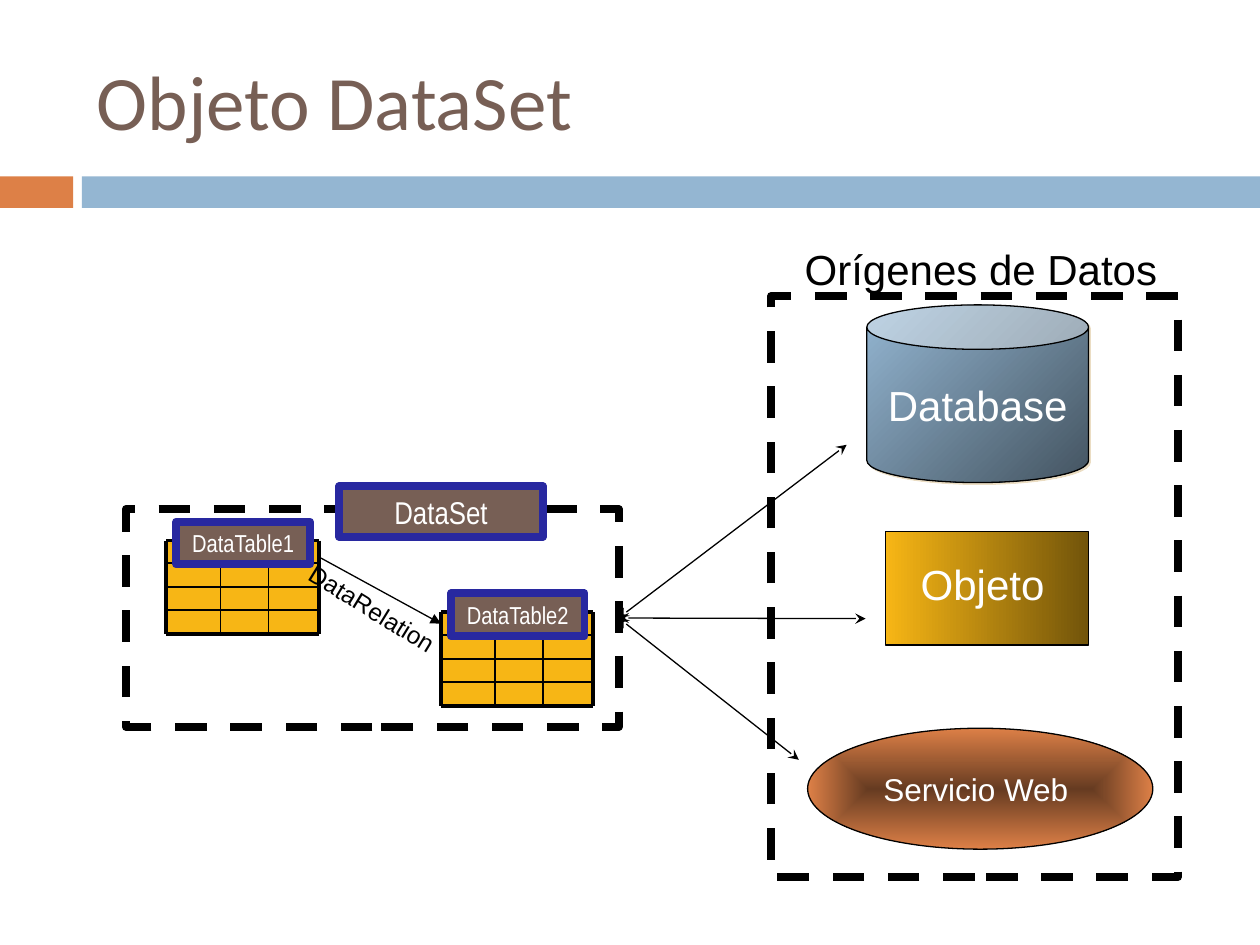
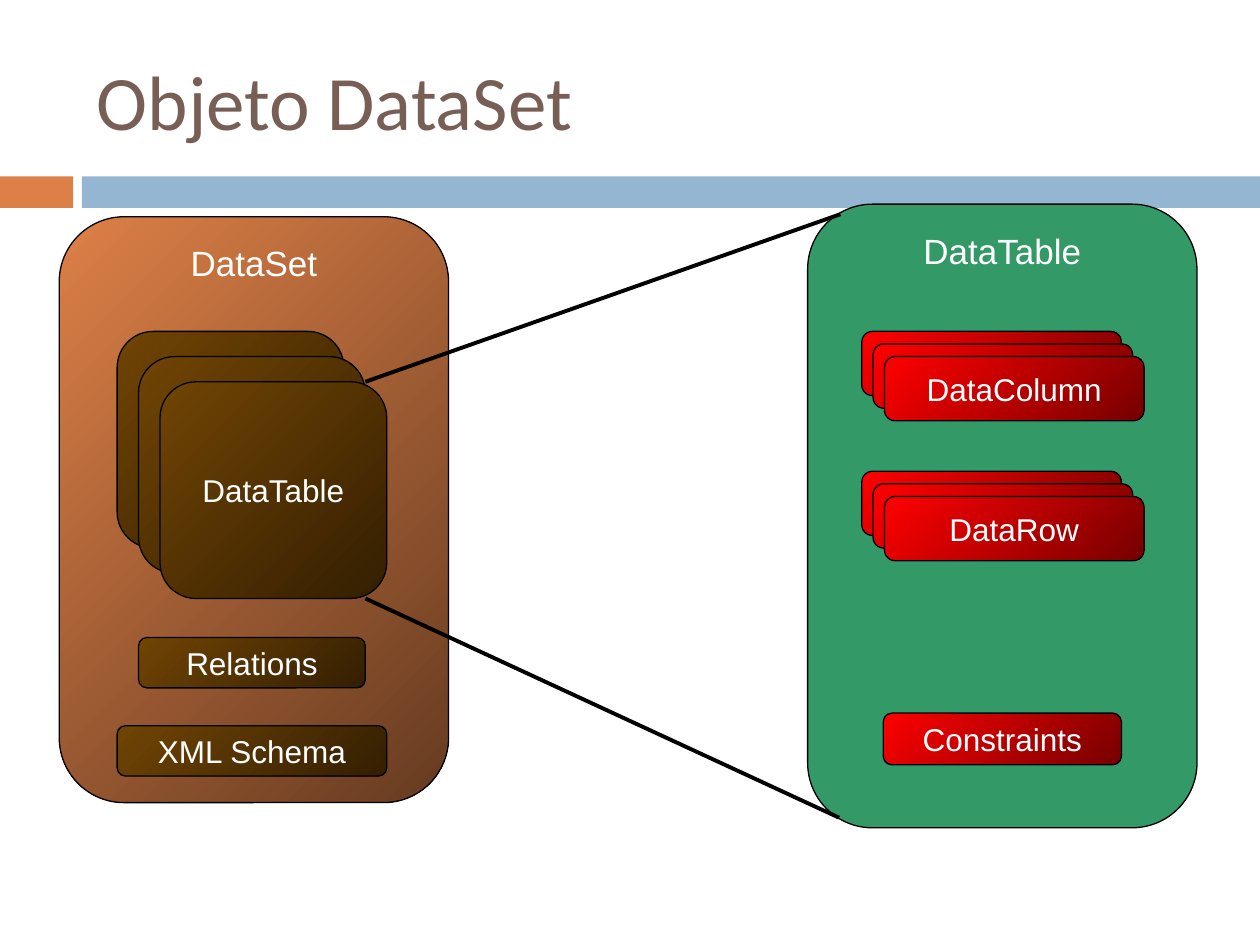
import itertools

import lxml.etree
import pptx
import pptx.dml.color
import pptx.enum.dml
import pptx.enum.shapes
import pptx.enum.text
import pptx.oxml.ns
import pptx.util

Inches = pptx.util.Inches
Pt = pptx.util.Pt
RGBColor = pptx.dml.color.RGBColor
Shape = pptx.enum.shapes.MSO_SHAPE
Align = pptx.enum.text.PP_ALIGN
qn = pptx.oxml.ns.qn

BLACK = RGBColor(0x00, 0x00, 0x00)
WHITE = RGBColor(0xFF, 0xFF, 0xFF)
TAUPE = RGBColor(0x77, 0x5F, 0x55)
ORANGE = RGBColor(0xDD, 0x80, 0x47)
DARK_ORANGE = RGBColor(0x66, 0x3B, 0x21)
BLUE = RGBColor(0x94, 0xB6, 0xD2)
DARK_BLUE = RGBColor(0x44, 0x54, 0x61)
NAVY = RGBColor(0x28, 0x28, 0xA0)
YELLOW = RGBColor(0xF7, 0xB6, 0x15)
DARK_YELLOW = RGBColor(0x72, 0x54, 0x0A)
BROWN = RGBColor(0x70, 0x44, 0x04)
DARK_BROWN = RGBColor(0x34, 0x1F, 0x02)
RED = RGBColor(0xFF, 0x00, 0x00)
DARK_RED = RGBColor(0x76, 0x00, 0x00)
GREEN = RGBColor(0x33, 0x99, 0x66)
SAND = RGBColor(0xEB, 0xDD, 0xC3)

COLUMN_EDGES = (0, 0.43, 0.81, 1.21)
ROW_EDGES = (0, 0.18, 0.37, 0.55, 0.74)


def apply_format(target, values):
    for name, value in values.items():
        setattr(target, name, value)


class Deck:
    def __init__(self):
        self.presentation = pptx.Presentation()
        apply_format(self.presentation, {"slide_width": Inches(10), "slide_height": Inches(7.5)})
        self.slide = None

    def new_slide(self, title):
        self.slide = self.presentation.slides.add_slide(self.presentation.slide_layouts[6])
        self.shape((0, 1.4, 0.58, 0.25), ORANGE, line=None)
        self.shape((0.65, 1.4, 9.35, 0.25), BLUE, line=None)
        self.text_box((0.67, 0.25, 8.92, 1.08), title, size=44, font="Calibri",
                      color=TAUPE, align=Align.LEFT)

    def add_text(self, shape, text, size=18, font="Arial", color=WHITE, align=Align.CENTER,
                 anchor=pptx.enum.text.MSO_ANCHOR.MIDDLE, wrap=False):
        frame = shape.text_frame
        apply_format(frame, {"word_wrap": wrap, "vertical_anchor": anchor})
        paragraph = frame.paragraphs[0]
        paragraph.alignment = align
        run = paragraph.add_run()
        run.text = text
        apply_format(run.font, {"name": font, "size": Pt(size)})
        run.font.color.rgb = color

    def text_box(self, box, text, rotation=0, **style):
        shape = self.slide.shapes.add_textbox(*map(Inches, box))
        shape.rotation = rotation
        self.add_text(shape, text, wrap=True, **style)

    def shape(self, box, fill=None, kind=Shape.RECTANGLE, line=BLACK, width=0.75,
              dashed=False, angle=315, text=None, **style):
        shape = self.slide.shapes.add_shape(kind, *map(Inches, box))
        shape.shadow.inherit = False
        if fill is None:
            shape.fill.background()
        elif isinstance(fill, RGBColor):
            shape.fill.solid()
            shape.fill.fore_color.rgb = fill
        else:
            shape.fill.gradient()
            shape.fill.gradient_angle = angle
            for stop, color in zip(shape.fill.gradient_stops, fill):
                stop.color.rgb = color
        if line is None:
            shape.line.fill.background()
        else:
            shape.line.color.rgb = line
            shape.line.width = Pt(width)
            if dashed:
                shape.line.dash_style = pptx.enum.dml.MSO_LINE.DASH
        if text:
            self.add_text(shape, text, **style)
        return shape

    def add_shadow(self, shape, color, distance):
        effects = shape._element.spPr.find(qn("a:effectLst"))
        shadow = lxml.etree.SubElement(effects, qn("a:outerShdw"), blurRad="0",
                                       dist=str(Pt(distance)), dir="2700000", algn="ctr")
        lxml.etree.SubElement(shadow, qn("a:srgbClr"), val=str(color))

    def center_gradient(self, shape):
        gradient = shape._element.spPr.find(qn("a:gradFill"))
        gradient.remove(gradient.find(qn("a:lin")))
        center = lxml.etree.SubElement(gradient, qn("a:path"), {"path": "rect"})
        lxml.etree.SubElement(center, qn("a:fillToRect"), l="50000", t="50000",
                              r="50000", b="50000")

    def connector(self, start, end, width=0.75, head=None, tail=None):
        connector = self.slide.shapes.add_connector(
            pptx.enum.shapes.MSO_CONNECTOR.STRAIGHT, *map(Inches, start + end))
        connector.line.color.rgb = BLACK
        connector.line.width = Pt(width)
        properties = connector._element.spPr
        for tag, arrow in (("a:headEnd", head), ("a:tailEnd", tail)):
            if arrow:
                lxml.etree.SubElement(properties.find(qn("a:ln")), qn(tag), type=arrow)
        lxml.etree.SubElement(properties, qn("a:effectLst"))
        return connector

    def name_plate(self, box, text, size=14):
        self.shape(box, TAUPE, line=NAVY, width=4.5, text=text, size=size, font="Arial Narrow")

    def table_icon(self, left, top, name):
        columns = [left + edge for edge in COLUMN_EDGES]
        rows = [top + edge for edge in ROW_EDGES]
        for (y, bottom), (x, right) in itertools.product(
                itertools.pairwise(rows), itertools.pairwise(columns)):
            self.shape((x, y, right - x, bottom - y), YELLOW, line=None)
        for y in rows:
            self.connector((columns[0], y), (columns[-1], y),
                           2.25 if y in (rows[0], rows[-1]) else 1)
        for x in columns:
            self.connector((x, rows[0]), (x, rows[-1]),
                           2.25 if x in (columns[0], columns[-1]) else 1)
        self.name_plate((left + 0.08, top - 0.15, 1.06, 0.34), name)

    def card(self, box, fill, text=None, **style):
        self.shape(box, fill, Shape.ROUNDED_RECTANGLE, text=text, **style)

    def card_stack(self, box, step, fill, text):
        left, top, width, height = box
        for index, label in enumerate((None, None, text)):
            self.card((left + index * step[0], top + index * step[1], width, height), fill, label)


def build_sources_slide(deck):
    deck.new_slide("Objeto DataSet")
    deck.table_icon(1.32, 4.29, "DataTable1")
    deck.table_icon(3.5, 4.86, "DataTable2")
    deck.connector((2.53, 4.42), (3.5, 4.95), tail="triangle")
    deck.text_box((2.07, 4.66, 1.77, 0.34), "DataRelation", rotation=31.6, size=14, color=BLACK)
    dataset_frame = deck.shape((1, 4.04, 3.91, 1.73), width=4.5, dashed=True)
    deck.name_plate((2.69, 3.86, 1.62, 0.4), "DataSet", size=18)
    deck.shape((6.12, 2.35, 3.23, 4.61), width=4.5, dashed=True)
    deck.text_box((6.09, 1.88, 3.39, 0.5), "Orígenes de Datos", size=24, color=BLACK)
    for end in ((6.34, 6.03), (6.87, 4.91), (6.72, 3.53)):
        arrow = deck.connector((4.91, 4.91), end, head="stealth", tail="stealth")
        arrow.begin_connect(dataset_frame, 3)
    database = deck.shape((6.88, 2.42, 1.76, 1.41), (BLUE, DARK_BLUE), Shape.CAN,
                          text="Database", size=24)
    deck.add_shadow(database, SAND, 1.4)
    deck.shape((7.03, 4.22, 1.61, 0.9), (YELLOW, DARK_YELLOW), angle=0)
    deck.text_box((7.11, 4.38, 1.47, 0.5), "Objeto ", size=24)
    web_service = deck.shape((6.41, 5.78, 2.74, 0.96), (DARK_ORANGE, ORANGE), Shape.OVAL,
                             text="Servicio Web ")
    deck.center_gradient(web_service)


def build_structure_slide(deck):
    brown, red = (BROWN, DARK_BROWN), (RED, DARK_RED)
    panel_text = {"size": 20, "anchor": pptx.enum.text.MSO_ANCHOR.TOP}
    deck.new_slide("Objeto DataSet")
    deck.card((0.47, 1.72, 3.09, 4.65), (ORANGE, DARK_ORANGE), "DataSet", **panel_text)
    deck.card_stack((0.93, 2.63, 1.8, 1.72), (0.17, 0.2), brown, "DataTable")
    deck.card((6.41, 1.62, 3.09, 4.95), GREEN, "DataTable", **panel_text)
    for top, name in ((3.74, "DataRow"), (2.63, "DataColumn")):
        deck.card_stack((6.84, top, 2.06, 0.51), (0.09, 0.1), red, name)
    deck.card((1.1, 5.06, 1.8, 0.4), brown, "Relations")
    deck.card((7.01, 5.66, 1.89, 0.41), red, "Constraints")
    deck.connector((2.9, 3.03), (6.67, 1.7), 2.25)
    deck.connector((2.9, 4.75), (6.66, 6.49), 2.25)
    deck.card((0.93, 5.76, 2.14, 0.4), brown, "XML Schema")


def main():
    deck = Deck()
    build_sources_slide(deck)
    build_structure_slide(deck)
    deck.presentation.save("out.pptx")


if __name__ == "__main__":
    main()
